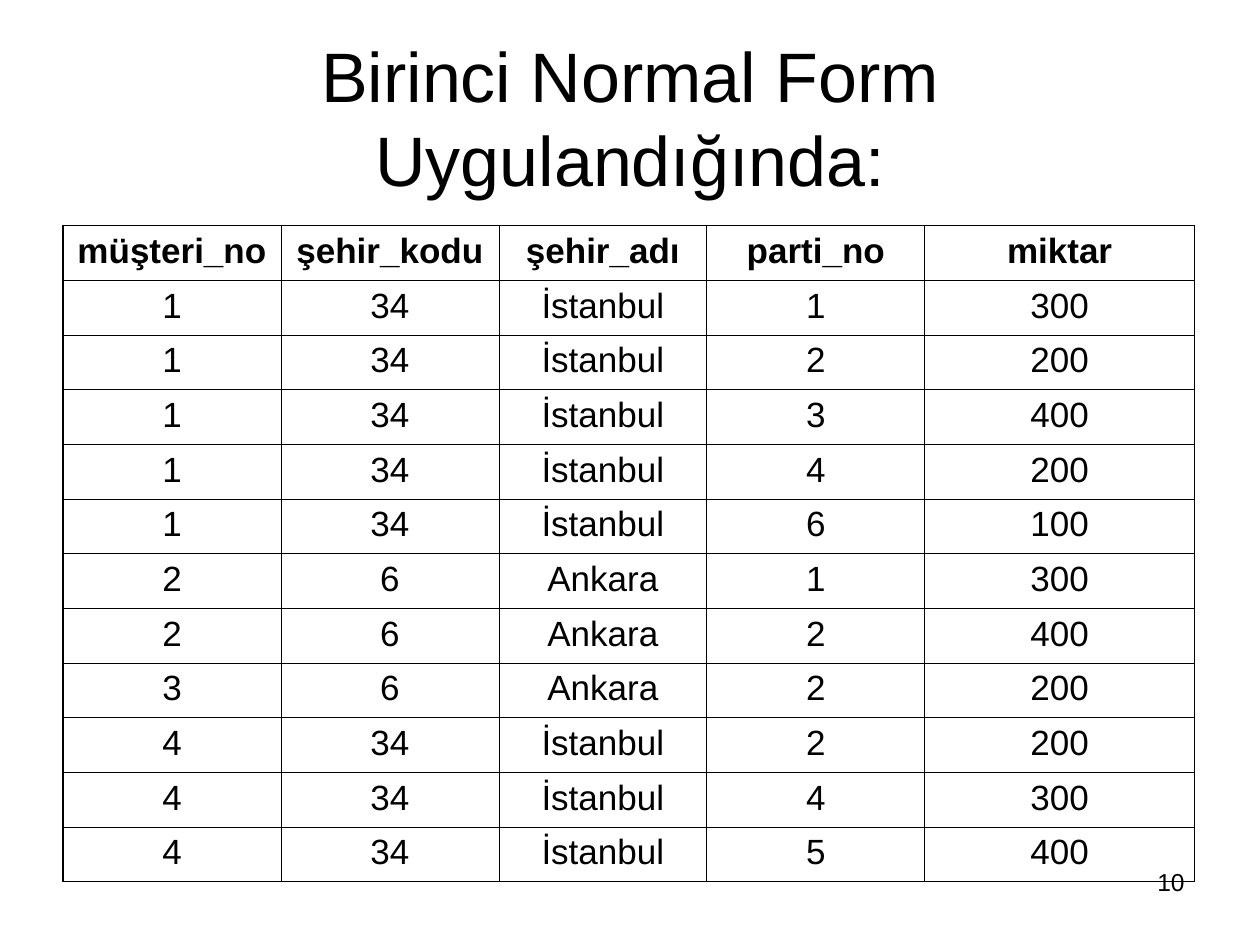
from typing import NamedTuple

from lxml import etree
from pptx import Presentation
from pptx import util as u
from pptx.dml.color import RGBColor
from pptx.enum import text
from pptx.oxml.ns import qn

COLORS = {"ink": "000000", "paper": "FFFFFF"}
FONT = "Arial"
OUTER, INNER = u.Pt(1.08), u.Pt(0.45)
COLUMN_WIDTHS = (1.73, 1.73, 1.65, 1.73, 2.14)
TABLE_HEIGHT = 5.2
HEADERS = ("müşteri_no", "şehir_kodu", "şehir_adı", "parti_no", "miktar")
CITIES = {34: "İstanbul", 6: "Ankara"}


class Shipment(NamedTuple):
    customer: int
    city_code: int
    batch: int
    quantity: int

    def cells(self) -> tuple:
        return (self.customer, self.city_code, CITIES[self.city_code], self.batch, self.quantity)


class Label(NamedTuple):
    wording: str
    left: float
    top: float
    width: float
    height: float
    size: int
    align: text.PP_ALIGN
    anchor: text.MSO_ANCHOR


SHIPMENTS = (
    Shipment(1, 34, 1, 300),
    Shipment(1, 34, 2, 200),
    Shipment(1, 34, 3, 400),
    Shipment(1, 34, 4, 200),
    Shipment(1, 34, 6, 100),
    Shipment(2, 6, 1, 300),
    Shipment(2, 6, 2, 400),
    Shipment(3, 6, 2, 200),
    Shipment(4, 34, 2, 200),
    Shipment(4, 34, 4, 300),
    Shipment(4, 34, 5, 400),
)
TITLE = Label("Birinci Normal Form Uygulandığında:", 0.5, 0.3, 9, 1.25, 40,
              text.PP_ALIGN.CENTER, text.MSO_ANCHOR.MIDDLE)
PAGE_NUMBER = Label("10", 7.17, 6.83, 2.33, 0.52, 14,
                    text.PP_ALIGN.RIGHT, text.MSO_ANCHOR.TOP)


def write(frame, wording: str, size: int, align: text.PP_ALIGN, bold: bool = False):
    para = frame.paragraphs[0]
    para.text = wording
    para.alignment = align
    para.font.name = FONT
    para.font.size = u.Pt(size)
    para.font.bold = bold
    para.font.color.rgb = RGBColor.from_string(COLORS["ink"])
    return para


def add_label(page, label: Label) -> None:
    box = page.shapes.add_textbox(u.Inches(label.left), u.Inches(label.top),
                                  u.Inches(label.width), u.Inches(label.height))
    box.text_frame.word_wrap = True
    box.text_frame.vertical_anchor = label.anchor
    write(box.text_frame, label.wording, label.size, label.align)


def add_borders(cell, left: bool, right: bool, top: bool, bottom: bool) -> None:
    properties = cell._tc.get_or_add_tcPr()
    for side, is_outer in zip("LRTB", (left, right, top, bottom)):
        line = etree.SubElement(properties, qn(f"a:ln{side}"), w=str(OUTER if is_outer else INNER))
        fill = etree.SubElement(line, qn("a:solidFill"))
        etree.SubElement(fill, qn("a:srgbClr"), val=COLORS["ink"])


def add_shipment_table(page) -> None:
    rows = [HEADERS, *(shipment.cells() for shipment in SHIPMENTS)]
    frame = page.shapes.add_table(len(rows), len(HEADERS), u.Inches(0.5), u.Inches(1.79),
                                  u.Inches(sum(COLUMN_WIDTHS)), u.Inches(TABLE_HEIGHT))
    table = frame.table
    table.first_row = table.horz_banding = False
    for column, width in zip(table.columns, COLUMN_WIDTHS):
        column.width = u.Inches(width)
    last_row, last_column = len(rows) - 1, len(HEADERS) - 1
    for r, values in enumerate(rows):
        for c, value in enumerate(values):
            cell = table.cell(r, c)
            para = write(cell.text_frame, str(value), 20, text.PP_ALIGN.CENTER, bold=r == 0)
            para.space_before = u.Pt(5)
            add_borders(cell, c == 0, c == last_column, r == 0, r == last_row)
            cell.fill.background()


def main() -> None:
    deck = Presentation()
    deck.slide_width, deck.slide_height = u.Inches(10), u.Inches(7.5)
    page = deck.slides.add_slide(deck.slide_layouts[6])
    page.background.fill.solid()
    page.background.fill.fore_color.rgb = RGBColor.from_string(COLORS["paper"])
    add_label(page, TITLE)
    add_shipment_table(page)
    add_label(page, PAGE_NUMBER)
    deck.save("out.pptx")


if __name__ == "__main__":
    main()
